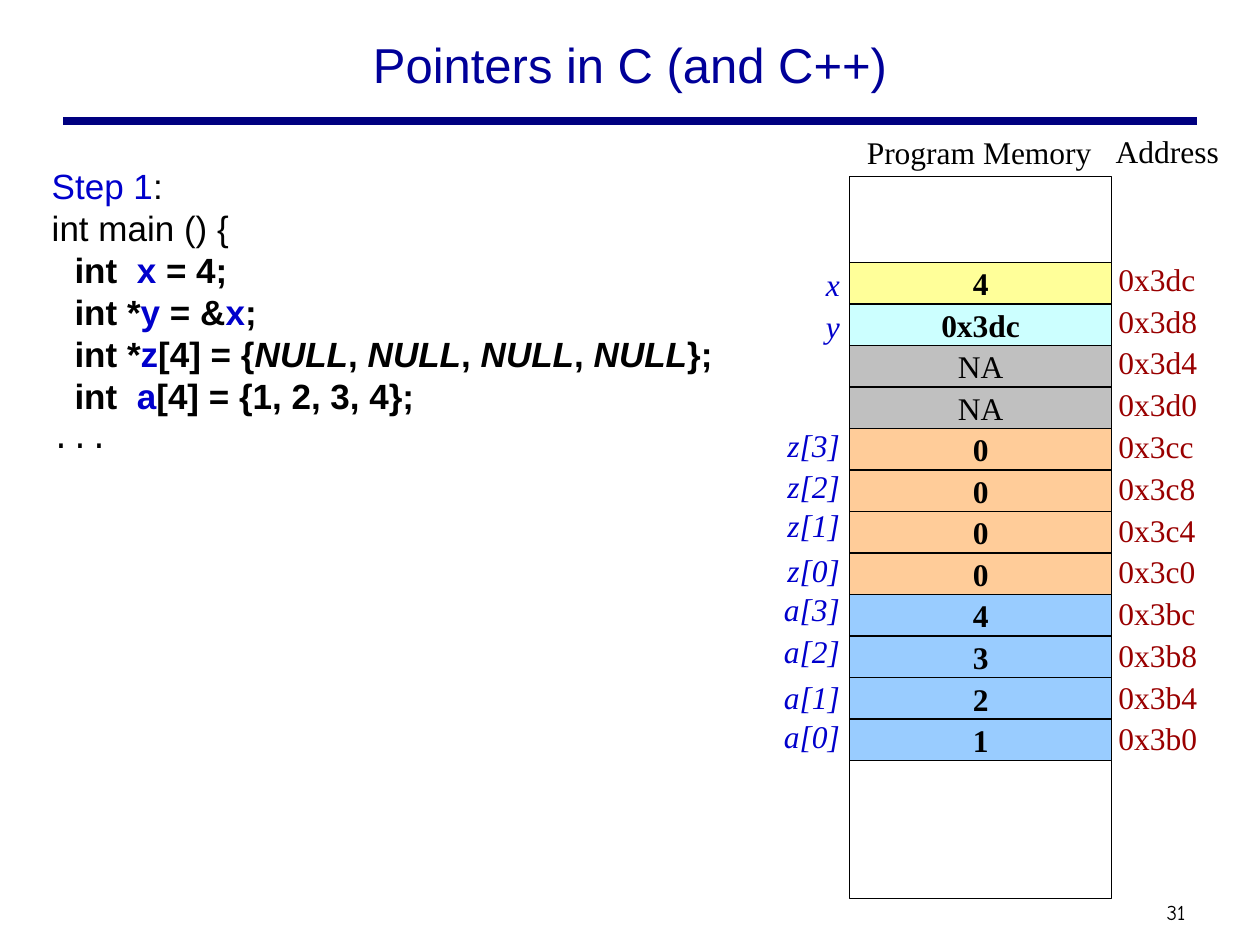
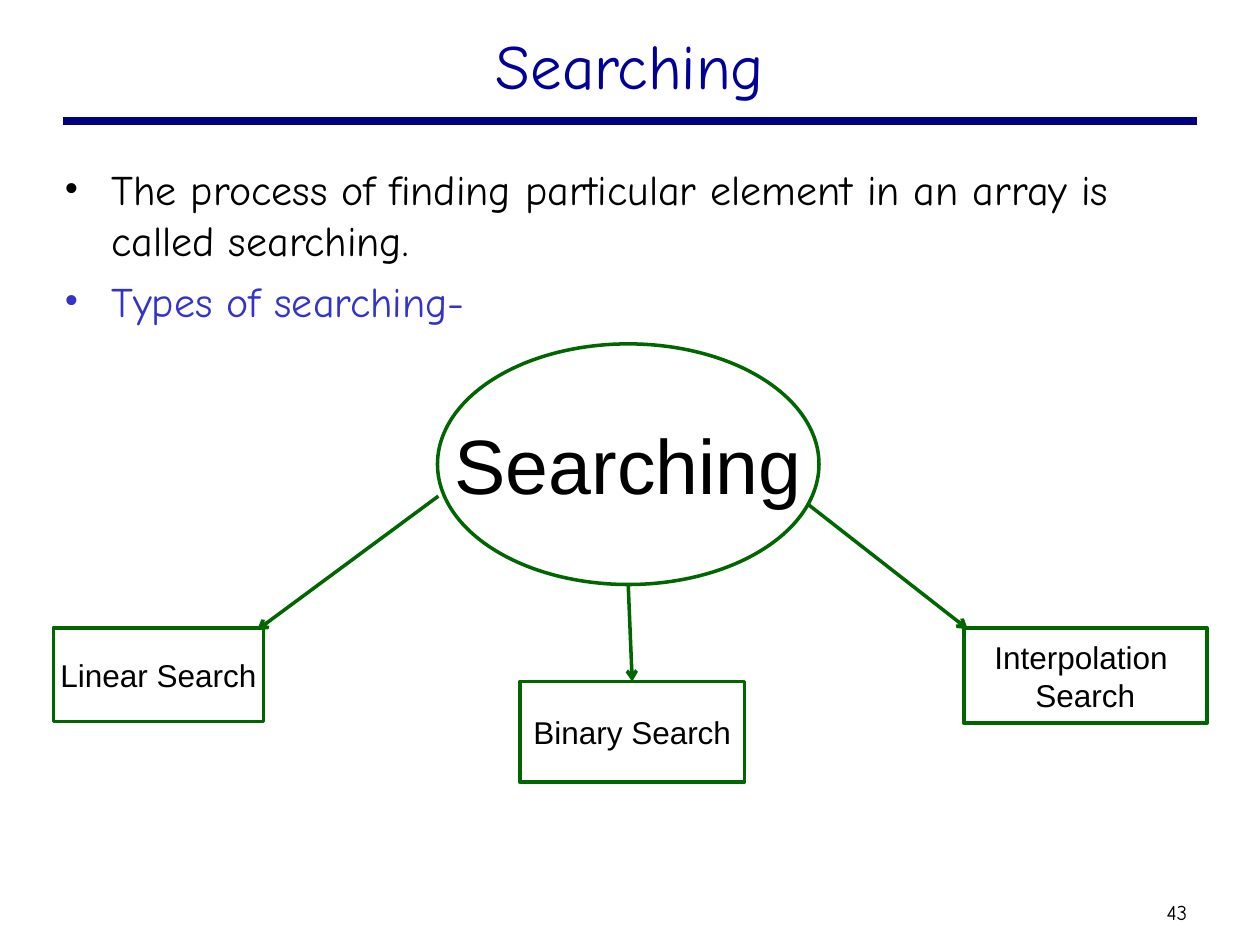
from dataclasses import dataclass
from lxml import etree
from pptx import Presentation
from pptx.dml.color import RGBColor
from pptx.enum.shapes import MSO_CONNECTOR, MSO_SHAPE
from pptx.enum.text import MSO_ANCHOR, PP_ALIGN
from pptx.oxml.ns import qn
from pptx.util import Pt

LEFT, CENTER, RIGHT = PP_ALIGN.LEFT, PP_ALIGN.CENTER, PP_ALIGN.RIGHT
TOP, MIDDLE = MSO_ANCHOR.TOP, MSO_ANCHOR.MIDDLE
RECTANGLE, OVAL = MSO_SHAPE.RECTANGLE, MSO_SHAPE.OVAL
STRAIGHT = MSO_CONNECTOR.STRAIGHT
TOP_SIDE = 0


@dataclass(frozen=True)
class Theme:
    sans: str = "Arial"
    hand: str = "Comic Neue"
    serif: str = "Times New Roman"
    mono: str = "Courier New"
    black: str = "000000"
    title: str = "000099"
    rule: str = "000080"
    variable: str = "0000CC"
    address: str = "990000"
    topic: str = "3333CC"
    diagram: str = "006600"
    scalar: str = "FFFF99"
    pointer: str = "CCFFFF"
    unused: str = "C0C0C0"
    pointers: str = "FFCC99"
    integers: str = "99CCFF"
    number_size: float = 12
    label_size: float = 18
    code_size: float = 20
    body_size: float = 24
    pointer_title_size: float = 28
    search_title_size: float = 36
    hub_size: float = 44


THEME = Theme()
VARIABLE = {"color": THEME.variable}
ITALIC = {"italic": True}

CODE = [
    ([("Step 1", VARIABLE), ":"], {}),
    ("int main () {", {}),
    (["int  ", ("x", VARIABLE), " = 4;"], {"bold": True, "indent": 13}),
    (["int *", ("y", VARIABLE), " = &", ("x", VARIABLE), ";"],
     {"bold": True, "indent": 13}),
    (["int *", ("z", VARIABLE), "[4] = {", ("NULL", ITALIC), ", ", ("NULL", ITALIC),
      ", ", ("NULL", ITALIC), ", ", ("NULL", ITALIC), "};"],
     {"bold": True, "indent": 13}),
    (["int  ", ("a", VARIABLE), "[4] = {1, 2, 3, 4};"], {"bold": True, "indent": 13}),
    ("...", {"font": THEME.mono, "size": THEME.label_size}),
]

MEMORY_FIELDS = ("name", "lift", "value", "address", "fill")
MEMORY = [
    ("x", 2, "4", "0x3dc", THEME.scalar),
    ("y", 2, "0x3dc", "0x3d8", THEME.pointer),
    ("", 0, "NA", "0x3d4", THEME.unused),
    ("", 0, "NA", "0x3d0", THEME.unused),
    ("z[3]", 5, "0", "0x3cc", THEME.pointers),
    ("z[2]", 5, "0", "0x3c8", THEME.pointers),
    ("z[1]", 6.5, "0", "0x3c4", THEME.pointers),
    ("z[0]", 5, "0", "0x3c0", THEME.pointers),
    ("a[3]", 6, "4", "0x3bc", THEME.integers),
    ("a[2]", 6, "3", "0x3b8", THEME.integers),
    ("a[1]", 3.5, "2", "0x3b4", THEME.integers),
    ("a[0]", 5, "1", "0x3b0", THEME.integers),
]

SEARCHING_POINTS = [
    ("The process of finding particular element in an array is called searching.",
     {"bullet": "•"}),
    ("Types of searching-", {"bullet": "•", "color": THEME.topic, "before": 6}),
]

HUB = (250, 196.5, 218, 137.5)
SEARCH_TYPES = [
    (["Linear Search"], (30.5, 358.75, 120, 53.5), (250.5, 283.5), (147, 360)),
    (["Binary Search"], (297, 389.5, 128.5, 57.5), (359, 334), None),
    (["Interpolation ", "Search"], (550.75, 358.75, 139, 54.5), (461.5, 288),
     (553, 359.5)),
]


def points(values):
    return [Pt(value) for value in values]


def add_element(parent, tag, **attributes):
    return etree.SubElement(parent, qn(tag), attributes)


def write_paragraph(para, content, font=THEME.serif, size=THEME.label_size,
                    color=THEME.black, bold=False, italic=False, align=LEFT,
                    indent=0, before=0, bullet=None):
    para.alignment = align
    para.space_before = Pt(before)
    properties = para._p.get_or_add_pPr()
    if indent:
        properties.set("marL", str(Pt(indent)))
    if bullet:
        properties.set("marL", str(Pt(27)))
        properties.set("indent", str(-Pt(27)))
        bullet_color = add_element(properties, "a:buClr")
        add_element(bullet_color, "a:srgbClr", val=color)
        add_element(properties, "a:buFont", typeface=THEME.serif)
        add_element(properties, "a:buChar", char=bullet)
    for part in [content] if isinstance(content, str) else content:
        text, changes = (part, {}) if isinstance(part, str) else part
        span = para.add_run()
        span.text = text
        span.font.name = font
        span.font.size = Pt(size)
        span.font.bold = bold
        span.font.italic = changes.get("italic", italic)
        span.font.color.rgb = RGBColor.from_string(changes.get("color", color))


def write_text(box, text, anchor=TOP, wrap=False, inset=7.2, **style):
    frame = box.text_frame
    frame.word_wrap = wrap
    frame.vertical_anchor = anchor
    frame.margin_left = frame.margin_right = Pt(inset)
    frame.margin_top = frame.margin_bottom = Pt(3.6)
    paragraphs = [(text, {})] if isinstance(text, str) else text
    for index, (content, changes) in enumerate(paragraphs):
        para = frame.add_paragraph() if index else frame.paragraphs[0]
        write_paragraph(para, content, **{**style, **changes})


def add_label(page, place, text, **style):
    write_text(page.shapes.add_textbox(*points(place)), text, **style)


def add_box(page, place, kind=RECTANGLE, fill=None, line=THEME.black, width=0.75):
    box = page.shapes.add_shape(kind, *points(place))
    box.shadow.inherit = False
    if fill:
        box.fill.solid()
        box.fill.fore_color.rgb = RGBColor.from_string(fill)
    else:
        box.fill.background()
    box.line.color.rgb = RGBColor.from_string(line)
    box.line.width = Pt(width)
    return box


def add_line(page, start, end, color, width, arrow=False):
    line = page.shapes.add_connector(STRAIGHT, *points(start + end))
    line.line.color.rgb = RGBColor.from_string(color)
    line.line.width = Pt(width)
    if arrow:
        add_element(line.line._get_or_add_ln(), "a:tailEnd", type="arrow")
    add_element(line._element.spPr, "a:effectLst")
    return line


def add_page(deck, title, number, font, size):
    page = deck.slides.add_slide(deck.slide_layouts[6])
    add_line(page, (36, 69), (684, 69), THEME.rule, 4.5)
    add_label(page, (663, 510.5, 34, 21.5), number, font=THEME.hand,
              size=THEME.number_size, anchor=MIDDLE, inset=3.6, wrap=True)
    add_label(page, (54, 5.5, 612, 62), title, font=font, size=size,
              color=THEME.title, align=CENTER, anchor=MIDDLE, wrap=True)
    return page


def build_pointers(deck):
    page = add_page(deck, "Pointers in C (and C++)", "31", THEME.sans,
                    THEME.pointer_title_size)
    left, width, first, pitch = 485.5, 149.75, 150, 23.72
    add_box(page, (left, 100.8, width, 412.5))
    add_label(page, (488, 72.25, 143, 29), "Program Memory", align=CENTER)
    add_label(page, (630.5, 72, 80, 29), "Address")
    add_label(page, (22.5, 90.5, 410, 173), CODE, font=THEME.sans,
              size=THEME.code_size)
    for row, record in enumerate(MEMORY):
        cell = dict(zip(MEMORY_FIELDS, record))
        top = first + row * pitch
        box = add_box(page, (left, top, width, pitch), fill=cell["fill"])
        write_text(box, cell["value"], anchor=MIDDLE, align=CENTER,
                   bold=cell["value"] != "NA")
        add_label(page, (632, 145 + row * 23.87, 75, 29), cell["address"],
                  color=THEME.address)
        if cell["name"]:
            add_label(page, (427, top - cell["lift"], 60, 29), cell["name"],
                      color=THEME.variable, italic=True, align=RIGHT, wrap=True)


def build_searching(deck):
    page = add_page(deck, "Searching", "43", THEME.hand, THEME.search_title_size)
    add_label(page, (29.5, 90, 661, 399.5), SEARCHING_POINTS, font=THEME.hand,
              size=THEME.body_size, wrap=True)
    diagram = {"line": THEME.diagram, "width": 2}
    centered = {"font": THEME.sans, "anchor": MIDDLE, "align": CENTER}
    hub = add_box(page, HUB, kind=OVAL, **diagram)
    write_text(hub, "Searching", size=THEME.hub_size, **centered)
    for lines, place, start, end in SEARCH_TYPES:
        box = add_box(page, place, **diagram)
        write_text(box, [(line, {}) for line in lines], **centered)
        arrow = add_line(page, start, end or start, THEME.diagram, 2, arrow=True)
        if end is None:
            arrow.end_connect(box, TOP_SIDE)


def main():
    deck = Presentation()
    deck.slide_width, deck.slide_height = Pt(720), Pt(540)
    build_pointers(deck)
    build_searching(deck)
    deck.save("out.pptx")


if __name__ == "__main__":
    main()
